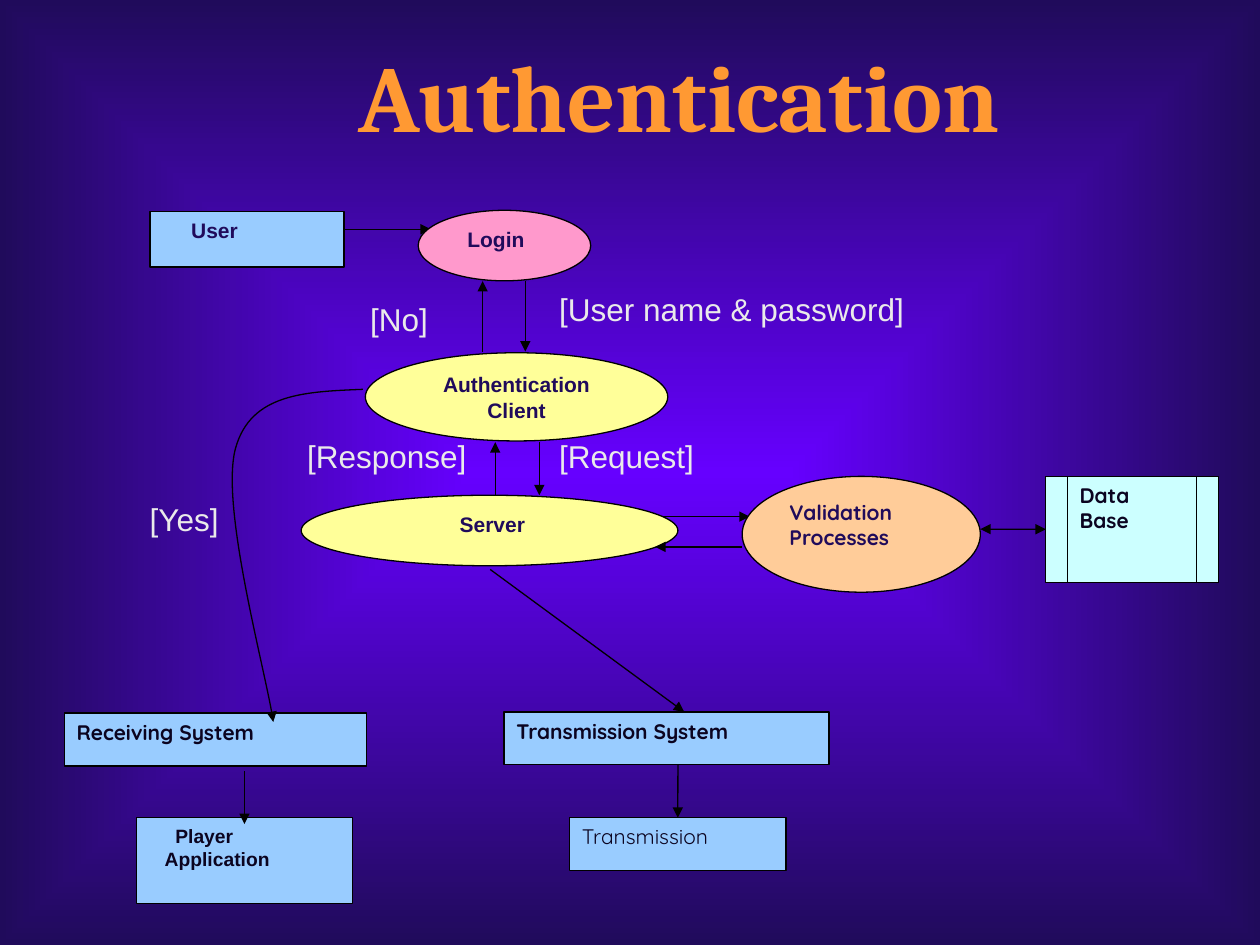
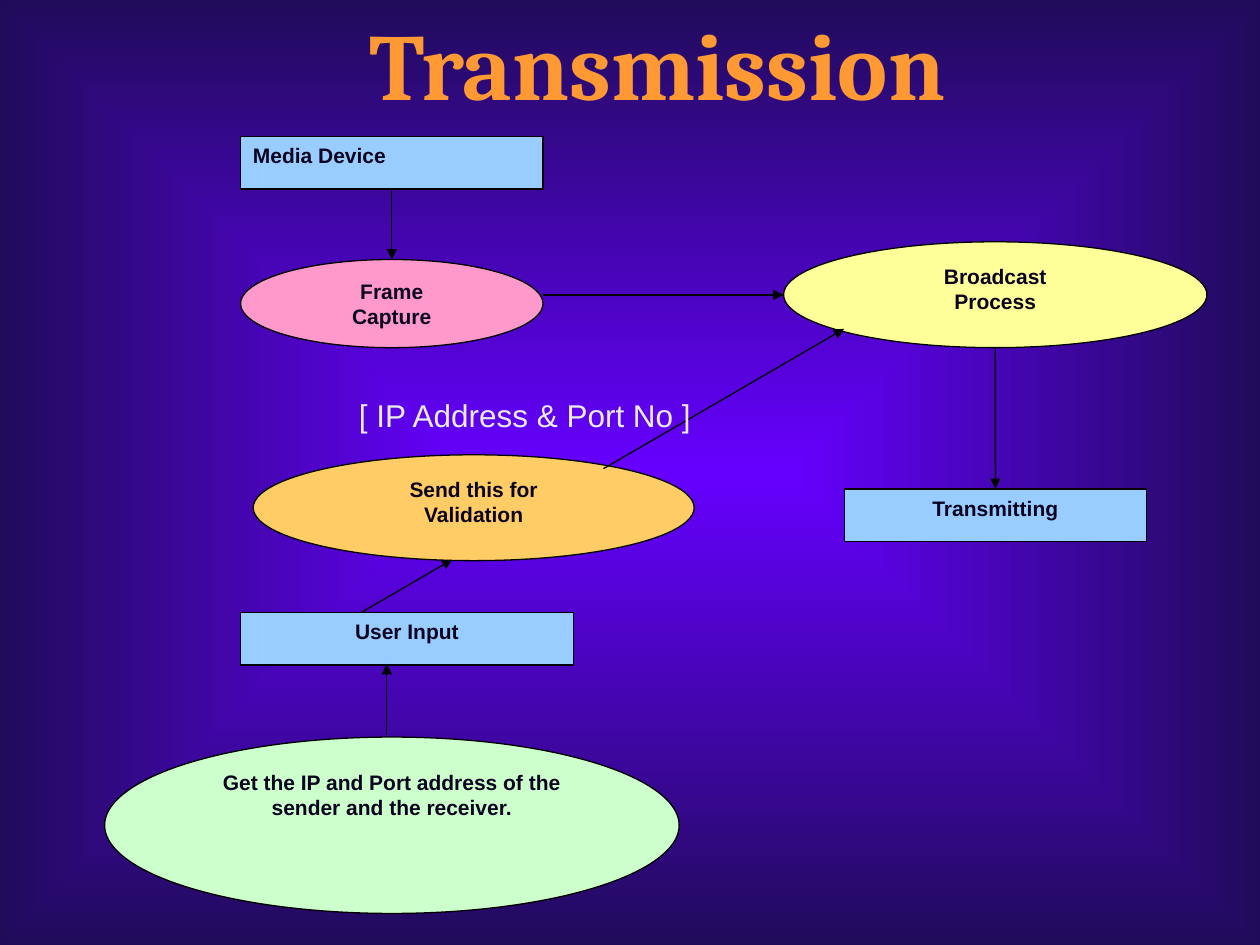
import dataclasses
import typing

import lxml.etree
import pptx
import pptx.dml.color
import pptx.enum.shapes
import pptx.enum.text
import pptx.oxml.ns
import pptx.shapes.base
import pptx.slide
import pptx.text.text
import pptx.util

Pt = pptx.util.Pt
RGBColor = pptx.dml.color.RGBColor
qn = pptx.oxml.ns.qn

VIOLET = RGBColor(0x66, 0x00, 0xFF)
INDIGO = RGBColor(0x20, 0x0B, 0x5B)
NIGHT = RGBColor(0x0B, 0x04, 0x20)
ORANGE = RGBColor(0xFF, 0x99, 0x33)
SILVER = RGBColor(0xEA, 0xEA, 0xEA)
BLACK = RGBColor(0x00, 0x00, 0x00)
SKY = RGBColor(0x99, 0xCC, 0xFF)
PINK = RGBColor(0xFF, 0x99, 0xCC)
YELLOW = RGBColor(0xFF, 0xFF, 0x99)
PEACH = RGBColor(0xFF, 0xCC, 0x99)
AMBER = RGBColor(0xFF, 0xCC, 0x66)
MINT = RGBColor(0xCC, 0xFF, 0xCC)
AQUA = RGBColor(0xCC, 0xFF, 0xFF)

RECT = pptx.enum.shapes.MSO_SHAPE.RECTANGLE
OVAL = pptx.enum.shapes.MSO_SHAPE.OVAL
STORE = pptx.enum.shapes.MSO_SHAPE.FLOWCHART_PREDEFINED_PROCESS
LEFT = pptx.enum.text.PP_ALIGN.LEFT
CENTER = pptx.enum.text.PP_ALIGN.CENTER
TOP_SIDE, LEFT_SIDE, BOTTOM_SIDE = 0, 1, 2

FRAME_FORMAT = {
    "margin_left": Pt(7.2),
    "margin_right": Pt(7.2),
    "margin_top": Pt(3.6),
    "margin_bottom": Pt(3.6),
    "word_wrap": True,
    "vertical_anchor": pptx.enum.text.MSO_ANCHOR.TOP,
}
TITLE_FONT = {"name": "Cambria", "size": Pt(54), "bold": True}
LABEL_FONT = {"name": "Arial", "size": Pt(18), "bold": False}

Point = tuple[float, float]
Box = tuple[float, float, float, float]


@dataclasses.dataclass(frozen=True)
class Node:
    text: str
    box: Box
    fill: RGBColor
    outline: pptx.enum.shapes.MSO_SHAPE = RECT
    align: pptx.enum.text.PP_ALIGN = LEFT
    ink: RGBColor = NIGHT
    font: str = "Arial"
    size: float = 12
    bold: bool = True
    indents: tuple[float, ...] = ()


@dataclasses.dataclass(frozen=True)
class Joint:
    node: str
    side: int


@dataclasses.dataclass(frozen=True)
class Link:
    start: Point | Joint
    end: Point | Joint
    both_ways: bool = False


@dataclasses.dataclass(frozen=True)
class Curve:
    start: Point
    controls: tuple[Point, ...]


@dataclasses.dataclass(frozen=True)
class Caption:
    text: str
    box: Box
    format: dict[str, typing.Any] = dataclasses.field(default_factory=lambda: LABEL_FONT)
    ink: RGBColor = SILVER
    space_before: float = 11.2


Part = Node | Link | Curve | Caption


def title(text: str, left: float, top: float, width: float) -> Caption:
    return Caption(text, (left, top, width, 72), TITLE_FONT, ORANGE, 33.8)


def label(text: str, left: float, top: float, width: float) -> Caption:
    return Caption(text, (left, top, width, 28.8))


AUTHENTICATION: list[Part] = [
    title("Authentication", 198, 18, 480),
    Node("Receiving System", (36.7, 407.5, 172.8, 30.2), SKY, font="Quicksand"),
    Node("User", (85.7, 121, 110.9, 31.7), SKY, ink=INDIGO, indents=(16.5,)),
    Link((196.6, 131), (246.2, 131)),
    Node("Login", (239, 120.2, 98.6, 40.3), PINK, OVAL, ink=INDIGO, indents=(6.6,)),
    Node("Authentication\nClient", (208.8, 201.6, 172.8, 50.4), YELLOW, OVAL, CENTER, INDIGO),
    Node("Server", (172.1, 283, 215.3, 40.3), YELLOW, OVAL, CENTER, INDIGO, indents=(3.3,)),
    Link((308.2, 252.7), (308.2, 283)),
    Link((283, 283), (283, 252.7)),
    Node("Player\nApplication", (77.8, 467.3, 123.8, 49), SKY, size=11, indents=(15.3, 9.2)),
    Link((378.7, 295.2), (428.4, 295.2)),
    Link((424.1, 312.5), (374.4, 312.5)),
    Link((275.8, 200.9), (275.8, 160.6)),
    Link((300.2, 160.6), (300.2, 200.9)),
    Node("Validation Processes", (424.1, 272.2, 136.1, 66.2), PEACH, OVAL,
         ink=INDIGO, font="Quicksand"),
    Node("Data\nBase", (597.6, 272.2, 98.6, 60.5), AQUA, STORE, font="Quicksand"),
    Link((560.2, 302.4), Joint("Data\nBase", LEFT_SIDE), both_ways=True),
    Node("Transmission System", (288, 406.8, 185.8, 30.2), SKY, font="Quicksand"),
    Node("Transmission", (325.4, 467.3, 123.8, 30.2), SKY, font="Quicksand", bold=False),
    Link((387.4, 437), Joint("Transmission", TOP_SIDE)),
    Curve((207.4, 222.5), ((175, 223.9), (143.3, 224.6), (134.6, 256.3),
                           (126, 288), (152.6, 386.6), (156.2, 412.6))),
    Link((280.1, 325.4), (391, 406.8)),
    Link((139.7, 440.6), (139.7, 470.9)),
    label("[User name & password]", 312.5, 162, 216),
    label("[No]", 204.5, 167.8, 59.8),
    label("[Request]", 312.5, 246.2, 156.2),
    label("[Response]", 168.5, 246.2, 120.2),
    label("[Yes]", 78.5, 282.2, 59.8),
]

TRANSMISSION: list[Part] = [
    title("Transmission", 204, 0, 456),
    Node("Broadcast\nProcess", (447.8, 138.2, 241.9, 60.5), YELLOW, OVAL, CENTER),
    Node("Media Device", (137.5, 77.8, 172.8, 30.2), SKY),
    Link(Joint("Media Device", BOTTOM_SIDE), (223.9, 148.3)),
    Node("Frame\nCapture", (137.5, 148.3, 172.8, 50.4), PINK, OVAL, CENTER),
    Link((310.3, 168.5), (447.8, 168.5)),
    Link((206.6, 349.9), (258.5, 319.7)),
    Node("User Input", (137.5, 349.9, 190.1, 30.2), SKY, align=CENTER),
    Node("Send this for\nValidation", (144.7, 259.9, 252, 60.5), AMBER, OVAL, CENTER),
    Link((344.9, 267.8), (482.4, 187.9)),
    Node("Transmitting", (482.4, 279.4, 172.8, 30.2), SKY, align=CENTER),
    Link((568.8, 198.7), Joint("Transmitting", TOP_SIDE)),
    Node("Get the IP and Port address of the sender and the receiver.",
         (59.8, 421.2, 328.3, 100.8), MINT, OVAL, CENTER),
    Link((221, 419.8), (221, 379.4)),
    label("[ IP Address & Port No ]", 198, 222.5, 221.8),
]


def apply(target: typing.Any, values: dict[str, typing.Any]) -> None:
    for attribute, value in values.items():
        setattr(target, attribute, value)


def write(frame: pptx.text.text.TextFrame, text: str, font: dict[str, typing.Any],
          ink: RGBColor, align: pptx.enum.text.PP_ALIGN = LEFT,
          space_before: float = 0, indents: tuple[float, ...] = ()) -> None:
    apply(frame, FRAME_FORMAT)
    frame.text = text
    for paragraph in frame.paragraphs:
        apply(paragraph, {"alignment": align, "space_before": Pt(space_before)})
        apply(paragraph.runs[0].font, font)
        paragraph.runs[0].font.color.rgb = ink
    for paragraph, indent in zip(frame.paragraphs, indents):
        properties = paragraph.runs[0].font._element.getparent().getparent().get_or_add_pPr()
        properties.set("marL", str(Pt(indent)))
        properties.set("indent", "0")


def draw_line(shape: typing.Any) -> None:
    shape.line.color.rgb = BLACK
    shape.line.width = Pt(0.75)


def add_arrowheads(shape: typing.Any, both_ways: bool = False) -> None:
    outline = shape.element.spPr.find(qn("a:ln"))
    for end in ("a:headEnd", "a:tailEnd") if both_ways else ("a:tailEnd",):
        lxml.etree.SubElement(outline, qn(end), type="triangle")


def add_node(slide: pptx.slide.Slide, node: Node) -> pptx.shapes.base.BaseShape:
    shape = slide.shapes.add_shape(node.outline, *map(Pt, node.box))
    shape.shadow.inherit = False
    shape.fill.solid()
    shape.fill.fore_color.rgb = node.fill
    draw_line(shape)
    font = {"name": node.font, "size": Pt(node.size), "bold": node.bold}
    write(shape.text_frame, node.text, font, node.ink, node.align, indents=node.indents)
    return shape


def add_link(slide: pptx.slide.Slide, link: Link,
             nodes: dict[str, pptx.shapes.base.BaseShape]) -> None:
    free_end = link.end if isinstance(link.start, Joint) else link.start
    start, end = (free_end if isinstance(tip, Joint) else tip for tip in (link.start, link.end))
    arrow = slide.shapes.add_connector(
        pptx.enum.shapes.MSO_CONNECTOR.STRAIGHT, *map(Pt, (*start, *end)))
    for tip, connect in ((link.start, arrow.begin_connect), (link.end, arrow.end_connect)):
        if isinstance(tip, Joint):
            connect(nodes[tip.node], tip.side)
    draw_line(arrow)
    add_arrowheads(arrow, link.both_ways)
    lxml.etree.SubElement(arrow.element.spPr, qn("a:effectLst"))


def add_curve(slide: pptx.slide.Slide, curve: Curve) -> None:
    builder = slide.shapes.build_freeform(*map(Pt, curve.start))
    builder.add_line_segments([(Pt(x), Pt(y)) for x, y in curve.controls], close=False)
    shape = builder.convert_to_shape()
    shape.shadow.inherit = False
    shape.fill.background()
    draw_line(shape)
    add_arrowheads(shape)
    segments = list(shape.element.iter(qn("a:lnTo")))
    for first in range(0, len(segments), 3):
        bend = lxml.etree.SubElement(segments[first].getparent(), qn("a:cubicBezTo"))
        for segment in segments[first:first + 3]:
            bend.append(segment[0])
            segment.getparent().remove(segment)


def add_caption(slide: pptx.slide.Slide, caption: Caption) -> None:
    frame = slide.shapes.add_textbox(*map(Pt, caption.box)).text_frame
    write(frame, caption.text, caption.format, caption.ink, space_before=caption.space_before)


def paint_background(master: pptx.slide.SlideMaster) -> None:
    fill = master.background.fill
    fill.gradient()
    for stop, color, position in zip(fill.gradient_stops, (VIOLET, INDIGO), (0, 1)):
        stop.color.rgb = color
        stop.position = position
    gradient = next(master.element.iter(qn("a:gradFill")))
    gradient.remove(gradient.find(qn("a:lin")))
    shade = lxml.etree.Element(qn("a:path"), {"path": "rect"})
    center = dict.fromkeys("ltrb", "50000")
    lxml.etree.SubElement(shade, qn("a:fillToRect"), center)
    gradient.find(qn("a:gsLst")).addnext(shade)


def build_slide(deck: typing.Any, parts: list[Part]) -> None:
    slide = deck.slides.add_slide(deck.slide_layouts[6])
    nodes: dict[str, pptx.shapes.base.BaseShape] = {}
    for part in parts:
        if isinstance(part, Node):
            nodes[part.text] = add_node(slide, part)
        elif isinstance(part, Link):
            add_link(slide, part, nodes)
        elif isinstance(part, Curve):
            add_curve(slide, part)
        else:
            add_caption(slide, part)


def main() -> None:
    deck = pptx.Presentation()
    deck.slide_width, deck.slide_height = Pt(720), Pt(540)
    paint_background(deck.slide_master)
    for parts in (AUTHENTICATION, TRANSMISSION):
        build_slide(deck, parts)
    deck.save("out.pptx")


if __name__ == "__main__":
    main()
